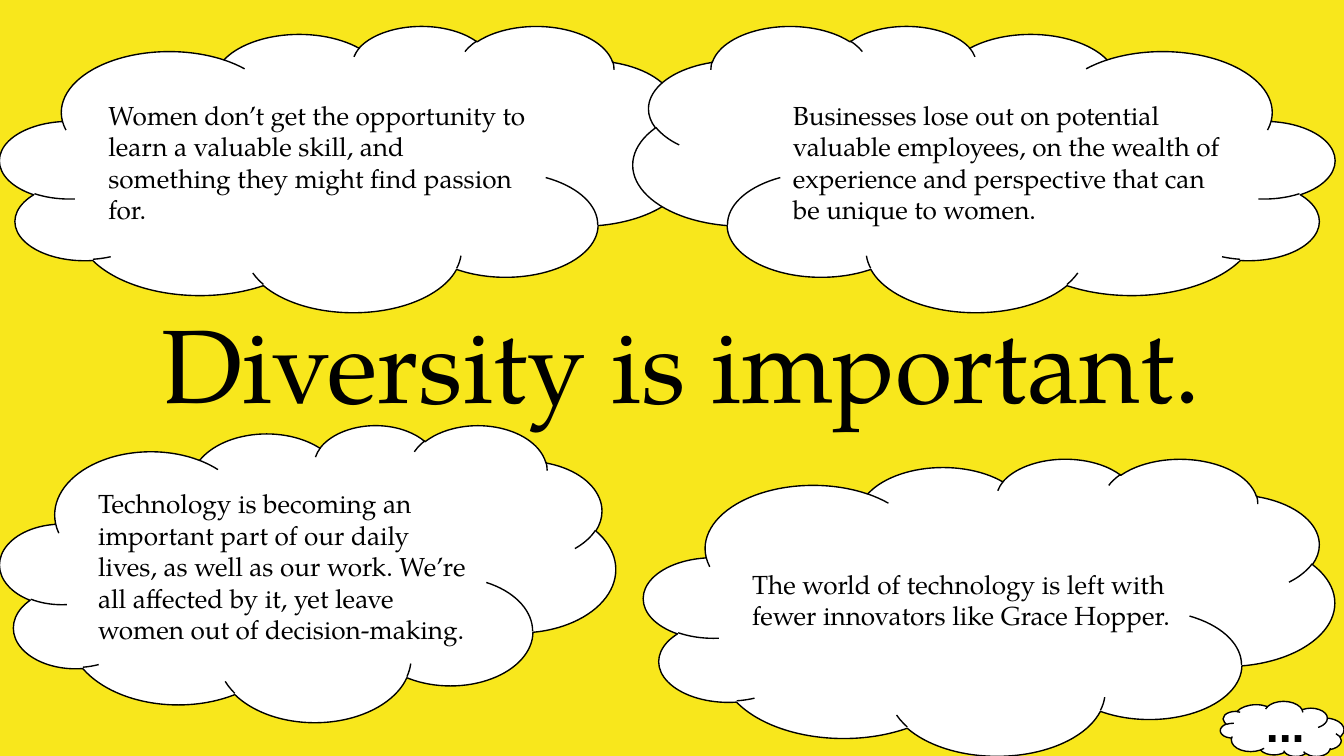
from pptx import Presentation
from pptx import util as u
from pptx.dml.color import RGBColor
from pptx.enum import shapes, text
from pptx.oxml.ns import qn

HUES = {"back": "F8E71C", "cloud": "FFFFFF", "ink": "000000"}
SERIF = "TeX Gyre Pagella"
SANS = "Arial"
CLOUDS = [
    ((0, 0.19, 5.14, 2.13), False,
     "Women don’t get the opportunity to learn a valuable skill, "
     "and something they might find passion for."),
    ((4.71, 0.19, 5.22, 2.13), True,
     "Businesses lose out on potential valuable employees, on the wealth of "
     "experience and perspective that can be unique to women."),
    ((0, 3.16, 4.58, 2.21), False,
     "Technology is becoming an important part of our daily lives, as well as "
     "our work. We’re all affected by it, yet leave women out of decision-making."),
    ((4.79, 3.41, 5.14, 2.21), False,
     "The world of technology is left with fewer innovators like Grace Hopper."),
]


def hue(name):
    return RGBColor.from_string(HUES[name])


def write(shape, words, size, face=SERIF, bold=False,
          align=text.PP_ALIGN.LEFT, anchor=text.MSO_ANCHOR.MIDDLE):
    frame = shape.text_frame
    frame.word_wrap = True
    frame.vertical_anchor = anchor
    frame.margin_left = frame.margin_right = u.Inches(0.1)
    frame.margin_top = frame.margin_bottom = u.Inches(0.1)
    frame.text = words
    para = frame.paragraphs[0]
    para.alignment = align
    font = para.runs[0].font
    font.name = face
    font.size = u.Pt(size)
    font.bold = bold
    font.color.rgb = hue("ink")


def add_text(slide, box, words, size, **style):
    label = slide.shapes.add_textbox(*map(u.Inches, box))
    write(label, words, size, **style)


def add_cloud(slide, box, flip=False, turn=0):
    cloud = slide.shapes.add_shape(shapes.MSO_SHAPE.CLOUD, *map(u.Inches, box))
    cloud.shadow.inherit = False
    cloud.fill.solid()
    cloud.fill.fore_color.rgb = hue("cloud")
    cloud.line.color.rgb = hue("ink")
    cloud.line.width = u.Pt(0.75)
    cloud.rotation = turn
    if flip:
        cloud.element.spPr.find(qn("a:xfrm")).set("flipH", "1")
    return cloud


def main():
    deck = Presentation()
    deck.slide_width = u.Inches(10)
    deck.slide_height = u.Inches(10 * 9 / 16)
    slide = deck.slides.add_slide(deck.slide_layouts[6])
    slide.background.fill.solid()
    slide.background.fill.fore_color.rgb = hue("back")

    add_text(slide, (0.52, 0.46, 9.1, 4.47), "Diversity is important.", 56,
             align=text.PP_ALIGN.CENTER)
    for box, flip, words in CLOUDS:
        write(add_cloud(slide, box, flip), words, 14)
    add_cloud(slide, (9.08, 5.22, 0.92, 0.41), flip=True, turn=180)
    add_text(slide, (9.32, 5.08, 0.61, 0.41), "...", 25, face=SANS, bold=True,
             anchor=text.MSO_ANCHOR.TOP)
    deck.save("out.pptx")


if __name__ == "__main__":
    main()
